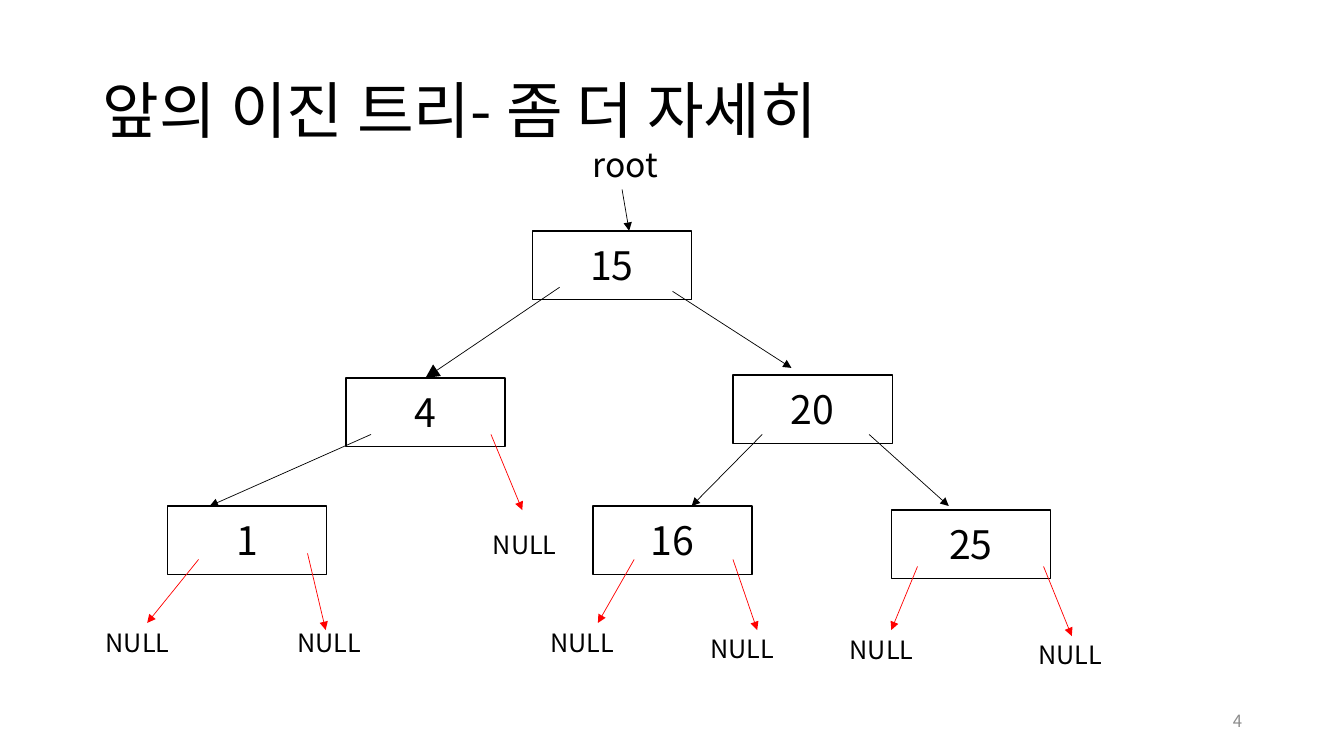
from lxml import etree
from pptx import Presentation
from pptx.dml.color import RGBColor
from pptx.enum.shapes import MSO_CONNECTOR, MSO_SHAPE
from pptx.enum.text import MSO_ANCHOR, MSO_AUTO_SIZE, PP_ALIGN
from pptx.oxml.ns import qn
from pptx.util import Inches, Pt

LEFT, CENTER, RIGHT = PP_ALIGN.LEFT, PP_ALIGN.CENTER, PP_ALIGN.RIGHT
TOP, MIDDLE = MSO_ANCHOR.TOP, MSO_ANCHOR.MIDDLE
RECTANGLE, STRAIGHT = MSO_SHAPE.RECTANGLE, MSO_CONNECTOR.STRAIGHT
FIXED = MSO_AUTO_SIZE.NONE
TITLE_ONLY = 5
FONT = "Noto Sans CJK KR"
BLACK, RED, GRAY = "000000", "FF0000", "8C8C8C"
NODE_SIZE = (1.58, 0.68)
NULL_SIZE = (0.84, 0.4)


def color(hex_value):
    """Turn a hex string into a colour."""
    return RGBColor.from_string(hex_value)


class TreeSlide:
    """Holds the slide and the style of its tree diagram."""

    def __init__(self, slide):
        """Keep the slide that is drawn on."""
        self.slide = slide

    def set_text(self, shape, text, size, align=LEFT, anchor=TOP, ink=BLACK):
        """Put one formatted paragraph into a shape."""
        frame = shape.text_frame
        frame.text = text
        frame.word_wrap = True
        frame.auto_size = FIXED
        frame.vertical_anchor = anchor
        paragraph = frame.paragraphs[0]
        paragraph.alignment = align
        font = paragraph.font
        font.name, font.size = FONT, Pt(size)
        font.color.rgb = color(ink)
        defaults = paragraph._p.pPr.find(qn("a:defRPr"))
        etree.SubElement(defaults, qn("a:ea"), typeface=FONT)
        return paragraph

    def title(self, text, left, top, width, height):
        """Place and fill the title placeholder."""
        heading = self.slide.shapes.title
        heading.left, heading.top = Inches(left), Inches(top)
        heading.width, heading.height = Inches(width), Inches(height)
        self.set_text(heading, text, 44, anchor=MIDDLE).line_spacing = 0.9

    def label(self, text, left, top, width, height, size, **style):
        """Add free-standing text."""
        box = self.slide.shapes.add_textbox(
            Inches(left), Inches(top), Inches(width), Inches(height))
        self.set_text(box, text, size, **style)

    def node(self, value, left, top):
        """Add an outlined tree node."""
        width, height = NODE_SIZE
        box = self.slide.shapes.add_shape(
            RECTANGLE, Inches(left), Inches(top), Inches(width), Inches(height))
        box.shadow.inherit = False
        box.fill.background()
        box.line.color.rgb = color(BLACK)
        box.line.width = Pt(1)
        self.set_text(box, value, 28, align=CENTER, anchor=MIDDLE)

    def arrow(self, start, end, ink=BLACK, head="med"):
        """Add a thin pointer with a triangular head."""
        points = [Inches(length) for length in (*start, *end)]
        pointer = self.slide.shapes.add_connector(STRAIGHT, *points)
        pointer.line.color.rgb = color(ink)
        pointer.line.width = Pt(0.5)
        properties = pointer._element.spPr
        etree.SubElement(properties.find(qn("a:ln")), qn("a:tailEnd"),
                         type="triangle", w=head, len=head)
        etree.SubElement(properties, qn("a:effectLst"))


NODES = [("15", 5.28, 2.29), ("4", 3.43, 3.75), ("1", 1.66, 5.02),
         ("20", 7.27, 3.72), ("16", 5.88, 5.02), ("25", 8.84, 5.06)]

BLACK_POINTERS = [
    ((6.67, 2.89), (7.85, 3.65)),
    ((3.68, 4.31), (2.08, 5.02)),
    ((7.56, 4.31), (6.86, 5.02)),
    ((8.62, 4.31), (9.41, 5.02)),
    ((6.17, 1.88), (6.24, 2.29)),
]

# Pointer start, pointer end, top left corner of the NULL label
NULL_POINTERS = [
    ((1.97, 5.55), (1.46, 6.18), (0.95, 6.17)),
    ((3.05, 5.49), (3.23, 6.25), (2.85, 6.17)),
    ((4.87, 4.31), (5.18, 5.06), (4.79, 5.2)),
    ((6.29, 5.55), (5.93, 6.18), (5.36, 6.17)),
    ((7.27, 5.55), (7.51, 6.25), (6.95, 6.23)),
    ((9.1, 5.62), (8.84, 6.25), (8.33, 6.24)),
    ((10.35, 5.62), (10.63, 6.31), (10.2, 6.29)),
]

deck = Presentation()
deck.slide_width, deck.slide_height = Inches(13.33), Inches(7.5)
tree = TreeSlide(deck.slides.add_slide(deck.slide_layouts[TITLE_ONLY]))

tree.title("앞의 이진 트리- 좀 더 자세히", 0.92, 0.4, 11.5, 1.45)
for value, left, top in NODES:
    tree.node(value, left, top)
tree.arrow((5.55, 2.85), (4.22, 3.75), head="lg")
for start, end in BLACK_POINTERS:
    tree.arrow(start, end)
tree.label("root", 5.78, 1.38, 1.97, 0.5, 24)
for start, end, corner in NULL_POINTERS:
    tree.arrow(start, end, RED)
    tree.label("NULL", *corner, *NULL_SIZE, 18)
tree.label("4", 9.42, 6.95, 3, 0.4, 12, align=RIGHT, anchor=MIDDLE, ink=GRAY)

deck.save("out.pptx")
